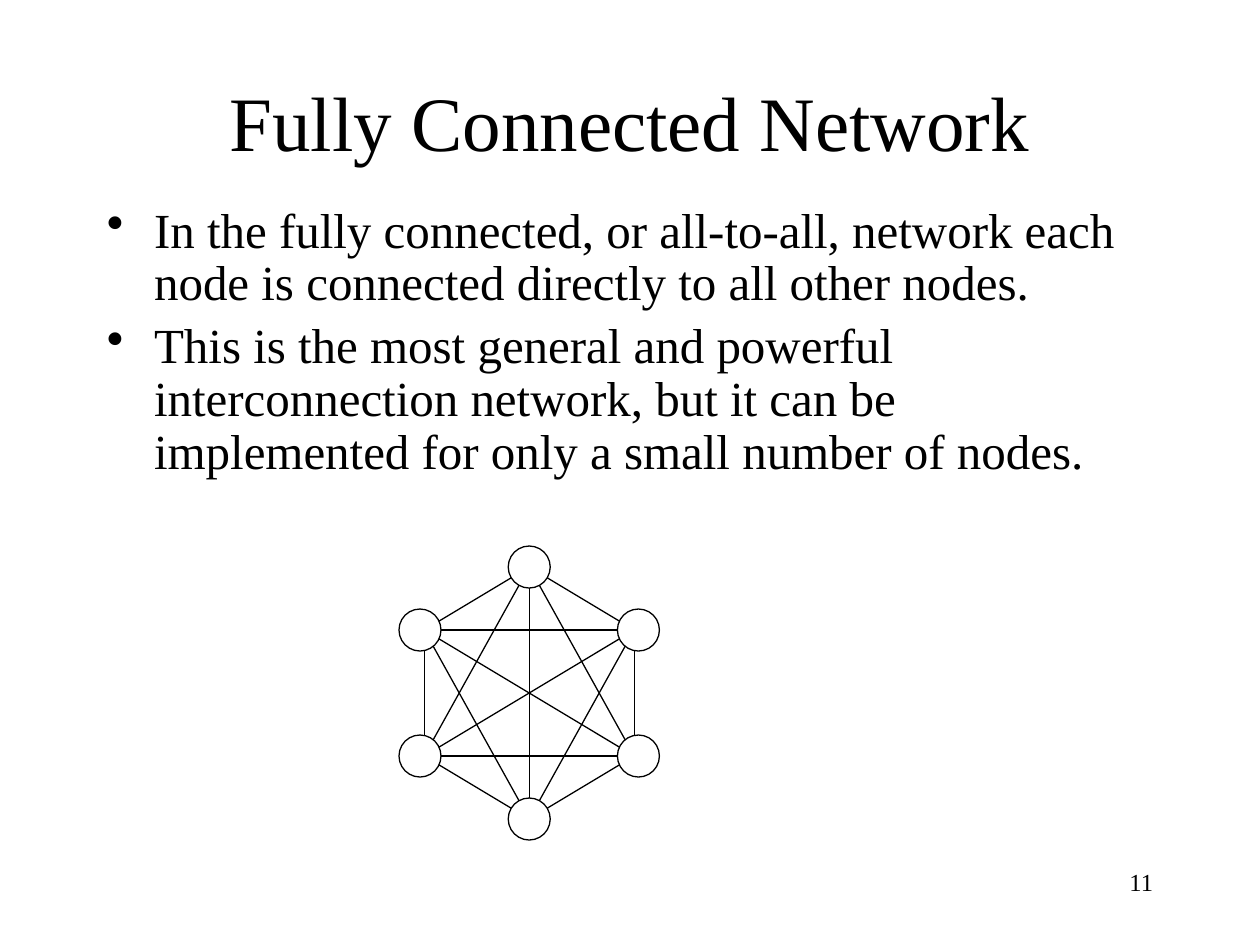
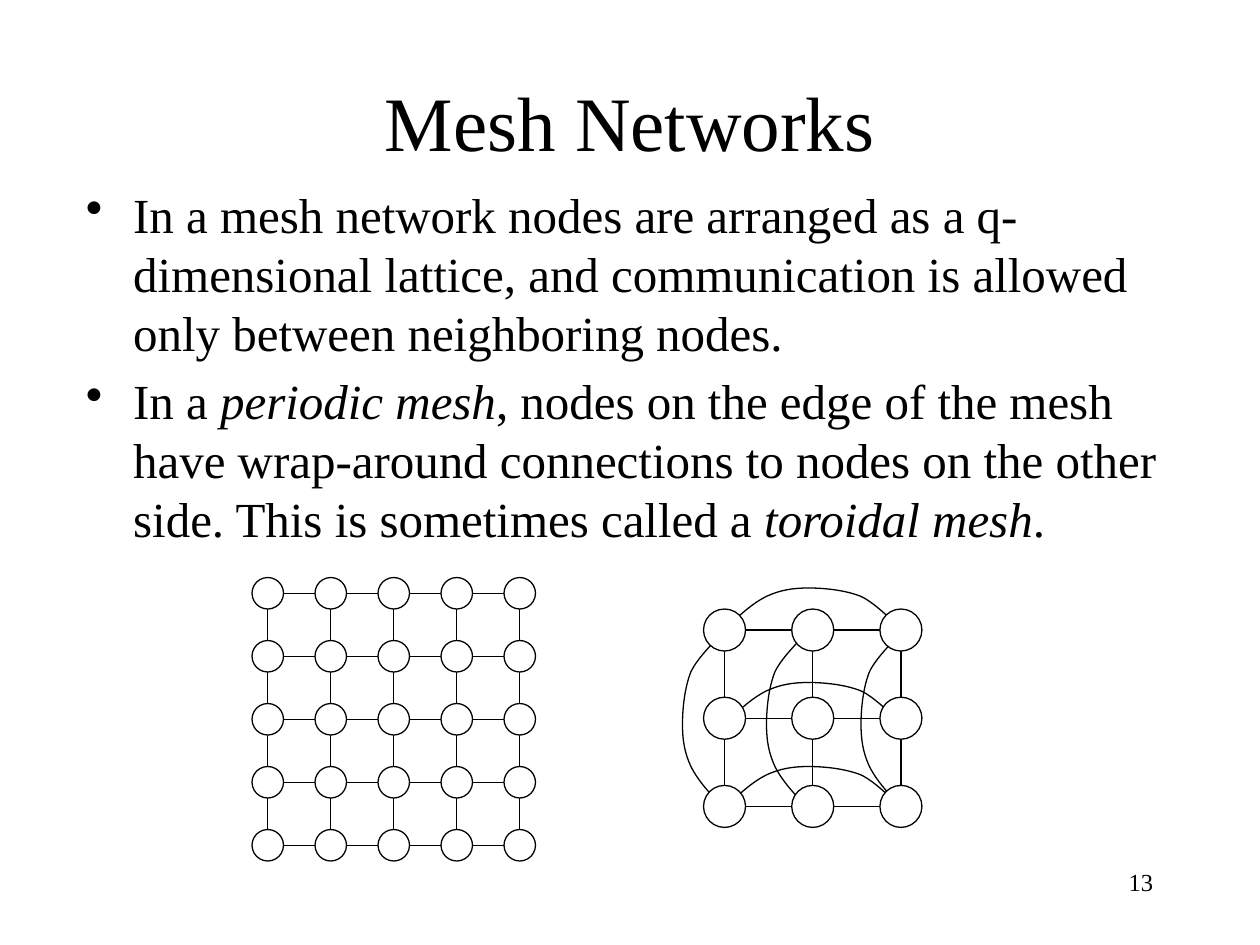
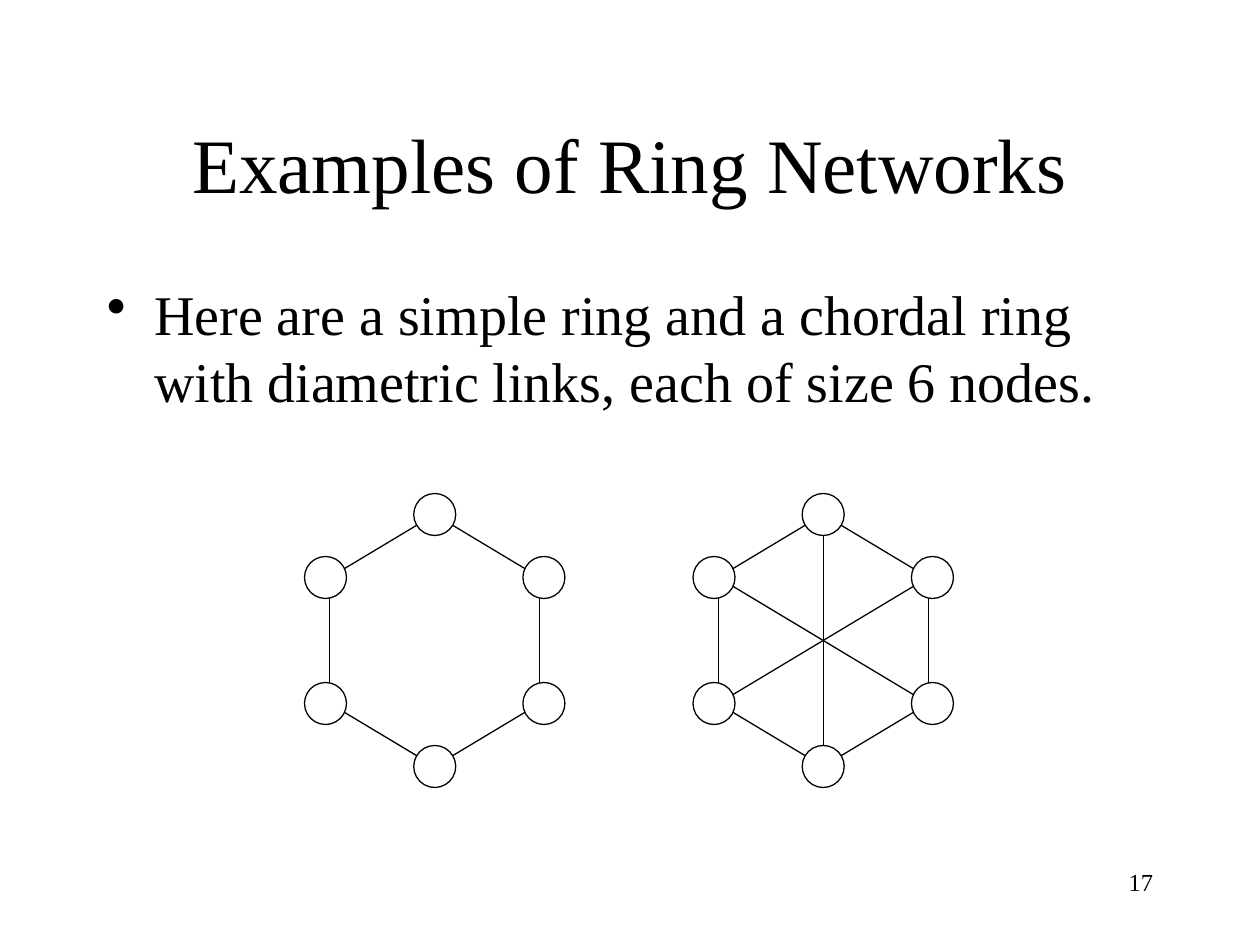
from dataclasses import dataclass
from itertools import combinations

from lxml import etree
from pptx import Presentation
from pptx.dml.color import RGBColor
from pptx.enum.shapes import MSO_CONNECTOR, MSO_SHAPE
from pptx.enum.text import MSO_ANCHOR, PP_ALIGN
from pptx.oxml.ns import qn
from pptx.shapes.group import GroupShape
from pptx.slide import Slide
from pptx.text.text import TextFrame, _Paragraph
from pptx.util import Pt

STRAIGHT = MSO_CONNECTOR.STRAIGHT
ELLIPSE = MSO_SHAPE.OVAL
TOP, MIDDLE = MSO_ANCHOR.TOP, MSO_ANCHOR.MIDDLE
LEFT, CENTER, RIGHT = PP_ALIGN.LEFT, PP_ALIGN.CENTER, PP_ALIGN.RIGHT

EMU_PER_PX = 7620  # 120 px to the inch
COLORS = {"ink": "000000", "paper": "FFFFFF"}
FONT = "Times New Roman"
LINE_WIDTH = 0.75
BULLET_INDENT = 45

Point = tuple[int, int]
Edge = tuple[int, int]

# Hexagon corners run clockwise from the top.
RING = tuple((i, (i + 1) % 6) for i in range(6))
DIAMETERS = tuple((i, i + 3) for i in range(3))
ALL_PAIRS = tuple(combinations(range(6), 2))

# Wrap-around link as (along, outward) steps: a start, then three per curve.
WRAP_CURVE = (
    (0, 0),
    (13, 13), (26, 25), (40, 32),
    (53, 38), (65, 40), (80, 40),
    (95, 40), (115, 38), (130, 32),
    (145, 25), (163, 5), (170, 0),
)


@dataclass(frozen=True)
class Box:
    left: int
    top: int
    width: int
    height: int


@dataclass(frozen=True)
class Span:
    text: str
    italic: bool = False


@dataclass(frozen=True)
class PageText:
    title: str
    number: str
    bullets: tuple[tuple[Span, ...], ...]
    body: Box
    title_top: int = 40
    size: int = 28
    line_spacing: float = 1.0


@dataclass(frozen=True)
class Hexagon:
    center: Point
    edges: tuple[Edge, ...]


@dataclass(frozen=True)
class Mesh:
    first: Point
    count: int
    step: int
    diameter: int


def px(length: int) -> int:
    return length * EMU_PER_PX


def color(name: str) -> RGBColor:
    return RGBColor.from_string(COLORS[name])


def add_text_frame(page: Slide, box: Box, anchor: MSO_ANCHOR = TOP) -> TextFrame:
    shape = page.shapes.add_textbox(
        px(box.left), px(box.top), px(box.width), px(box.height)
    )
    frame = shape.text_frame
    frame.word_wrap = True
    frame.vertical_anchor = anchor
    return frame


def style_paragraph(para: _Paragraph, size: int, align: PP_ALIGN) -> None:
    para.alignment = align
    para.font.name = FONT
    para.font.size = Pt(size)
    para.font.color.rgb = color("ink")


def add_label(
    page: Slide, text: str, box: Box, size: int, align: PP_ALIGN, anchor: MSO_ANCHOR
) -> None:
    para = add_text_frame(page, box, anchor).paragraphs[0]
    para.add_run().text = text
    style_paragraph(para, size, align)


def add_bullet_mark(para: _Paragraph) -> None:
    properties = para._p.get_or_add_pPr()
    properties.set("marL", str(px(BULLET_INDENT)))
    properties.set("indent", str(-px(BULLET_INDENT)))
    etree.SubElement(properties, qn("a:buChar")).set("char", "•")


def add_bullets(page: Slide, text: PageText) -> None:
    frame = add_text_frame(page, text.body)
    for index, spans in enumerate(text.bullets):
        para = frame.add_paragraph() if index else frame.paragraphs[0]
        add_bullet_mark(para)
        para.line_spacing = text.line_spacing
        if index:
            para.space_before = Pt(text.size * 0.2)
        style_paragraph(para, text.size, LEFT)
        for span in spans:
            run = para.add_run()
            run.text = span.text
            if span.italic:
                run.font.italic = True


def add_page(deck: Presentation, text: PageText) -> Slide:
    page = deck.slides.add_slide(deck.slide_layouts[6])
    page.background.fill.solid()
    page.background.fill.fore_color.rgb = color("paper")
    add_label(page, text.number, Box(860, 820, 250, 60), 14, RIGHT, TOP)
    add_label(page, text.title, Box(90, text.title_top, 1020, 150), 44, CENTER, MIDDLE)
    add_bullets(page, text)
    return page


def add_link(group: GroupShape, start: Point, end: Point) -> None:
    link = group.shapes.add_connector(STRAIGHT, *map(px, start + end))
    link.line.color.rgb = color("ink")
    link.line.width = Pt(LINE_WIDTH)
    etree.SubElement(link._element.spPr, qn("a:effectLst"))


def add_node(group: GroupShape, center: Point, diameter: int) -> None:
    left, top = (value - diameter // 2 for value in center)
    node = group.shapes.add_shape(
        ELLIPSE, px(left), px(top), px(diameter), px(diameter)
    )
    node.shadow.inherit = False
    node.fill.solid()
    node.fill.fore_color.rgb = color("paper")
    node.line.color.rgb = color("ink")
    node.line.width = Pt(LINE_WIDTH)


def add_curve(group: GroupShape, points: list[Point]) -> None:
    """Draw cubic curves; every three points after the first make one curve."""
    builder = group.shapes.build_freeform(*points[0], scale=EMU_PER_PX)
    builder.add_line_segments(points[1:], close=False)
    curve = builder.convert_to_shape()
    curve.shadow.inherit = False
    curve.fill.background()
    curve.line.color.rgb = color("ink")
    curve.line.width = Pt(LINE_WIDTH)
    outline = next(curve._element.iter(qn("a:path")))
    segments = outline.findall(qn("a:lnTo"))
    for first in range(0, len(segments), 3):
        bezier = etree.SubElement(outline, qn("a:cubicBezTo"))
        for segment in segments[first:first + 3]:
            bezier.append(segment[0])
            outline.remove(segment)


def hexagon_points(center: Point, half_width: int) -> list[Point]:
    x, y = center
    return [
        (x, y - 120), (x + half_width, y - 60), (x + half_width, y + 60),
        (x, y + 120), (x - half_width, y + 60), (x - half_width, y - 60),
    ]


def add_hexagon(page: Slide, hexagon: Hexagon) -> None:
    """Draw links that end slightly inside the nodes' centers."""
    group = page.shapes.add_group_shape()
    corners = hexagon_points(hexagon.center, 100)
    for start, end in hexagon.edges:
        add_link(group, corners[start], corners[end])
    for center in hexagon_points(hexagon.center, 104):
        add_node(group, center, 40)


def add_wraparounds(group: GroupShape) -> None:
    for x in (690, 770, 860):
        add_curve(group, [(x - out, 770 - along) for along, out in WRAP_CURVE])
    for y in (600, 690, 770):
        add_curve(group, [(690 + along, y - out) for along, out in WRAP_CURVE])


def add_mesh(page: Slide, mesh: Mesh, periodic: bool = False) -> None:
    group = page.shapes.add_group_shape()
    if periodic:
        add_wraparounds(group)
    xs, ys = (
        [origin + mesh.step * i for i in range(mesh.count)] for origin in mesh.first
    )
    for x in xs:
        add_link(group, (x, ys[0]), (x, ys[-1]))
    for y in ys:
        add_link(group, (xs[0], y), (xs[-1], y))
    for y in ys:
        for x in xs:
            add_node(group, (x, y), mesh.diameter)


FULLY_CONNECTED = PageText(
    title="Fully Connected Network",
    number="11",
    bullets=(
        (Span("In the fully connected, or all-to-all, network each node is "
              "connected directly to all other nodes."),),
        (Span("This is the most general and powerful interconnection network, "
              "but it can be implemented for only a small number of nodes."),),
    ),
    body=Box(90, 190, 1020, 300),
    line_spacing=0.9,
)
MESH_NETWORKS = PageText(
    title="Mesh Networks",
    number="13",
    bullets=(
        (Span("In a mesh network nodes are arranged as a q-dimensional lattice, "
              "and communication is allowed only between neighboring nodes."),),
        (
            Span("In a "),
            Span("periodic mesh", italic=True),
            Span(", nodes on the edge of the mesh have wrap-around connections to "
                 "nodes on the other side. This is sometimes called a "),
            Span("toroidal mesh", italic=True),
            Span("."),
        ),
    ),
    body=Box(70, 170, 1060, 370),
)
RING_NETWORKS = PageText(
    title="Examples of Ring Networks",
    number="17",
    bullets=(
        (Span("Here are a simple ring and a chordal ring with diametric links, "
              "each of size 6 nodes."),),
    ),
    body=Box(90, 260, 1020, 150),
    title_top=80,
    size=32,
)


def main() -> None:
    deck = Presentation()
    deck.slide_width, deck.slide_height = px(1200), px(900)

    page = add_page(deck, FULLY_CONNECTED)
    add_hexagon(page, Hexagon((504, 660), ALL_PAIRS))

    page = add_page(deck, MESH_NETWORKS)
    add_mesh(page, Mesh(first=(255, 565), count=5, step=60, diameter=30))
    add_mesh(page, Mesh(first=(690, 600), count=3, step=84, diameter=40), periodic=True)

    page = add_page(deck, RING_NETWORKS)
    add_hexagon(page, Hexagon((414, 610), RING))
    add_hexagon(page, Hexagon((784, 610), RING + DIAMETERS))

    deck.save("out.pptx")


if __name__ == "__main__":
    main()
